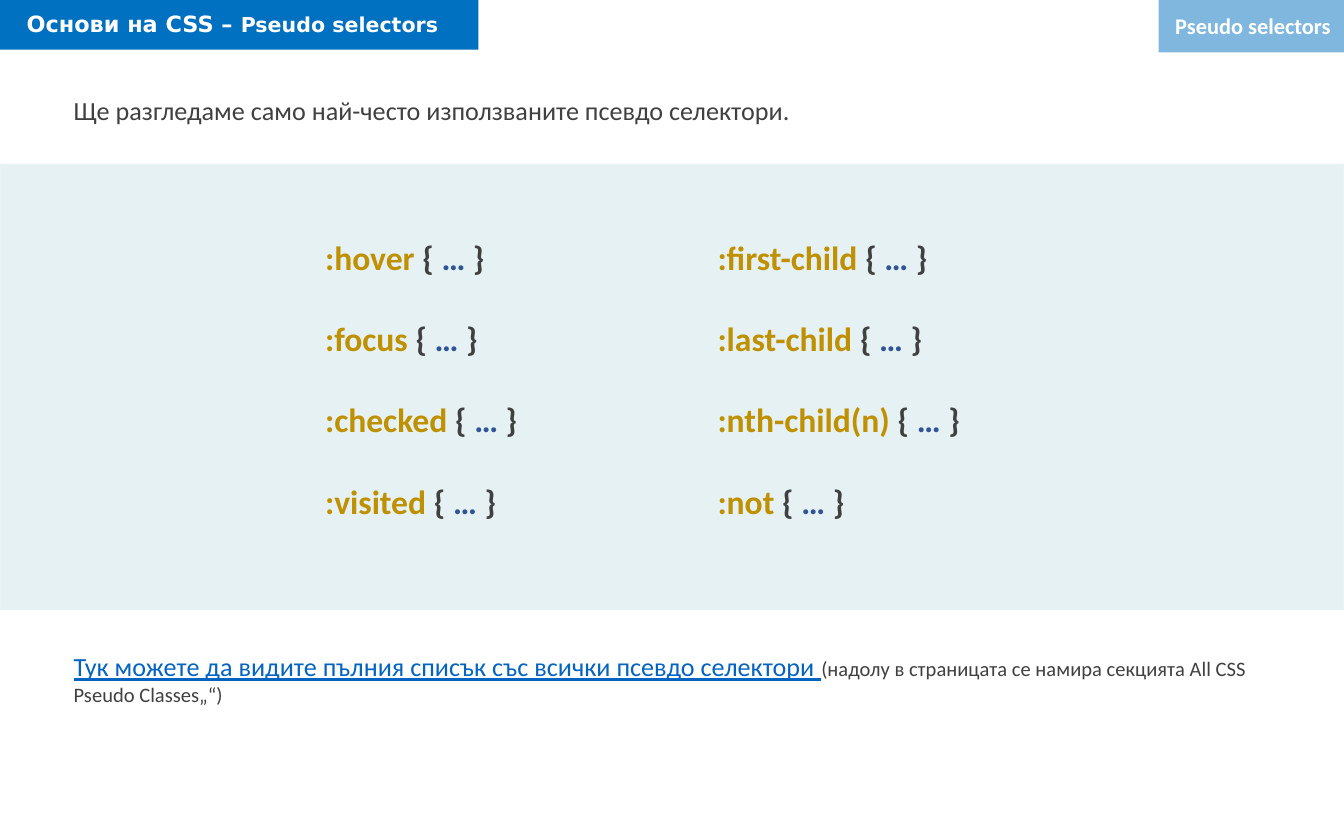
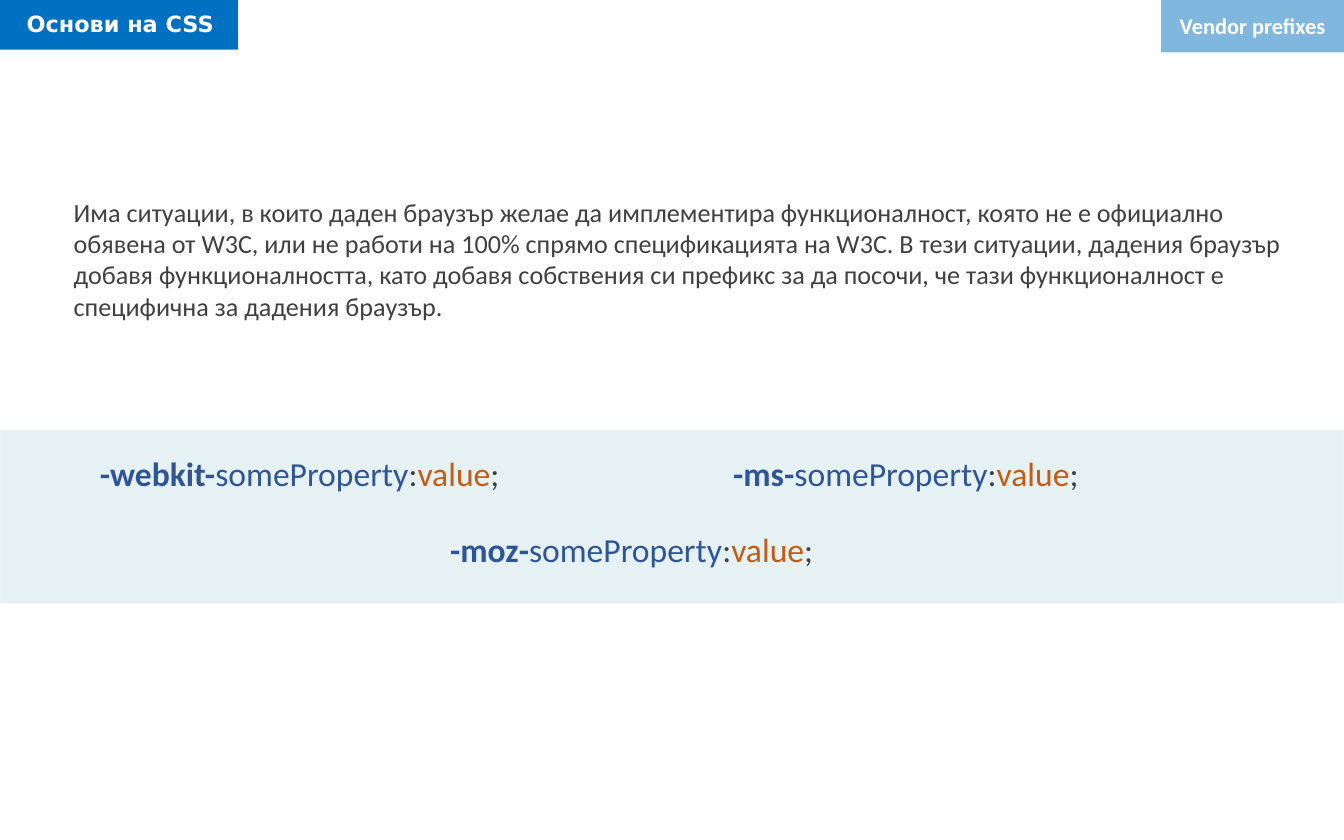
import lxml.etree
import pptx
import pptx.dml.color
import pptx.enum.shapes
import pptx.enum.text
import pptx.oxml.ns
import pptx.util
from dataclasses import dataclass


@dataclass(frozen=True)
class Theme:
    blue: str = "0070C0"
    teal: str = "127994"
    edge: str = "F8F8F8"
    white: str = "FFFFFF"
    body: str = "404040"
    gold: str = "BF9000"
    navy: str = "2F5597"
    orange: str = "C55A11"
    link: str = "0563C1"
    title_font: str = "DejaVu Sans"
    body_font: str = "Calibri"
    code_size: int = 18
    body_size: int = 14
    label_size: int = 12
    small_size: int = 11
    selector_gap: int = 22


THEME = Theme()
PX = 9144  # 100 px to the inch
SLIDE_W, SLIDE_H = 1000, 625
MARGIN = 45
ALIGN = pptx.enum.text.PP_ALIGN

# Content
COURSE = "Основи на CSS"
PSEUDO = "Pseudo selectors"
PSEUDO_INTRO = "Ще разгледаме само най-често използваните псевдо селектори."
SELECTOR_COLUMNS = [
    (":hover", ":focus", ":checked", ":visited"),
    (":first-child", ":last-child", ":nth-child(n)", ":not"),
]
FULL_LIST = "Тук можете да видите пълния списък със всички псевдо селектори "
FULL_LIST_HINT = "(надолу в страницата се намира секцията All CSS Pseudo Classes„“)"
VENDOR = "Vendor prefixes"
VENDOR_INTRO = (
    "Има ситуации, в които даден браузър желае да имплементира функционалност, "
    "която не е официално обявена от W3C, или не работи на 100% спрямо "
    "спецификацията на W3C. В тези ситуации, дадения браузър добавя "
    "функционалността, като добавя собствения си префикс за да посочи, че тази "
    "функционалност е специфична за дадения браузър."
)
PREFIXES = [("-webkit-", 33, 332), ("-moz-", 280, 389), ("-ms-", 484, 332)]


def rgb(color):
    return pptx.dml.color.RGBColor.from_string(color)


def run(text, color=THEME.body, size=THEME.body_size, font=THEME.body_font,
        bold=False, underline=False):
    return text, color, size, font, bold, underline


def add_alpha(color_format_parent, percent):
    for color in color_format_parent.iter(pptx.oxml.ns.qn("a:srgbClr")):
        alpha = lxml.etree.SubElement(color, pptx.oxml.ns.qn("a:alpha"))
        alpha.set("val", str(percent * 1000))


def add_band(slide, x, y, w, h, color, opacity=100, edged=False):
    band = slide.shapes.add_shape(
        pptx.enum.shapes.MSO_SHAPE.RECTANGLE, x * PX, y * PX, w * PX, h * PX)
    band.shadow.inherit = False
    band.fill.solid()
    band.fill.fore_color.rgb = rgb(color)
    if opacity < 100:
        add_alpha(band._element.spPr, opacity)
    if edged:
        band.line.color.rgb = rgb(THEME.edge)
        band.line.width = pptx.util.Pt(1)
        add_alpha(band.line._get_or_add_ln(), 16)
    else:
        band.line.fill.background()


def add_text(slide, x, y, w, h, lines, align=ALIGN.LEFT, gap=0):
    frame = slide.shapes.add_textbox(x * PX, y * PX, w * PX, h * PX).text_frame
    frame.word_wrap = True
    frame.auto_size = pptx.enum.text.MSO_AUTO_SIZE.SHAPE_TO_FIT_TEXT
    for index, pieces in enumerate(lines):
        paragraph = frame.add_paragraph() if index else frame.paragraphs[0]
        paragraph.alignment = align
        if index and gap:
            paragraph.space_before = pptx.util.Pt(gap)
        for text, color, size, font, bold, underline in pieces:
            piece = paragraph.add_run()
            piece.text = text
            piece.font.size = pptx.util.Pt(size)
            piece.font.name = font
            piece.font.bold = bold
            piece.font.underline = underline
            piece.font.color.rgb = rgb(color)


def title_run(text, size=THEME.label_size):
    return run(text, THEME.white, size, THEME.title_font, bold=True)


def add_header(slide, title, title_w, topic, topic_w, topic_align):
    add_band(slide, 0, -2, title_w, 39, THEME.blue)
    add_text(slide, 10, 3, title_w, 30, [title])
    topic_x = SLIDE_W - topic_w
    add_band(slide, topic_x, 0, topic_w, 39, THEME.blue, opacity=50)
    add_text(slide, topic_x, 4, topic_w, 30,
             [[run(topic, THEME.white, THEME.label_size, bold=True)]], topic_align)


def add_code_band(slide, y, h):
    add_band(slide, 0, y, SLIDE_W, h, THEME.teal, opacity=10, edged=True)


def selector_rule(selector):
    parts = [(selector + " ", THEME.gold), ("{ ", THEME.body),
             ("… ", THEME.navy), ("}", THEME.body)]
    return [run(text, color, THEME.code_size, bold=True) for text, color in parts]


def prefixed_property(prefix):
    parts = [(prefix, THEME.navy), ("someProperty", THEME.navy), (":", THEME.body),
             ("value", THEME.orange), (";", THEME.body)]
    return [run(text, color, THEME.code_size, bold=text == prefix)
            for text, color in parts]


def build_pseudo_selectors(slide):
    title = [title_run(COURSE + " – "), title_run(PSEUDO, THEME.small_size)]
    add_header(slide, title, 356, PSEUDO, 138, ALIGN.RIGHT)
    add_text(slide, MARGIN, 65, 906, 34, [[run(PSEUDO_INTRO)]])

    # Two columns of selectors
    add_code_band(slide, 122, 332)
    for column, selectors in enumerate(SELECTOR_COLUMNS):
        add_text(slide, 232 + column * 292, 171, 205, 222,
                 [selector_rule(selector) for selector in selectors],
                 gap=THEME.selector_gap)

    # Pointer to the full list
    add_text(slide, MARGIN, 479, 906, 54,
             [[run(FULL_LIST, THEME.link, underline=True),
               run(FULL_LIST_HINT, size=THEME.small_size)]])


def build_vendor_prefixes(slide):
    add_header(slide, [title_run(COURSE)], 177, VENDOR, 136, ALIGN.CENTER)
    add_text(slide, MARGIN, 141, 928, 104, [[run(VENDOR_INTRO)]])

    # Prefixed properties
    add_code_band(slide, 320, 129)
    for prefix, x, y in PREFIXES:
        add_text(slide, x, y, 380, 40, [prefixed_property(prefix)], ALIGN.CENTER)


def main():
    deck = pptx.Presentation()
    deck.slide_width, deck.slide_height = SLIDE_W * PX, SLIDE_H * PX
    for build in (build_pseudo_selectors, build_vendor_prefixes):
        build(deck.slides.add_slide(deck.slide_layouts[6]))
    deck.save("out.pptx")


if __name__ == "__main__":
    main()
